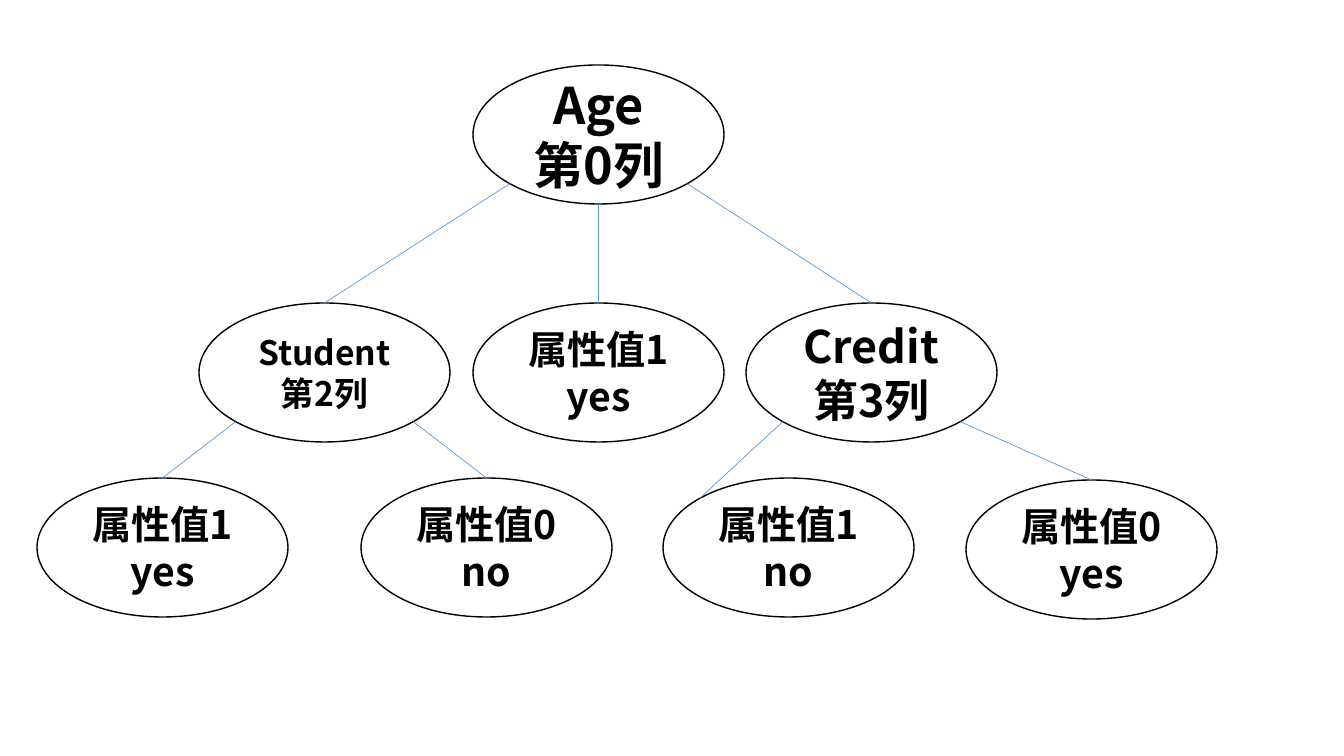
"""Draw a decision tree of ellipse nodes joined by thin lines."""
from dataclasses import dataclass
from math import sqrt

from lxml.etree import SubElement
from pptx import Presentation
from pptx.dml.color import RGBColor
from pptx.enum.shapes import MSO_CONNECTOR, MSO_SHAPE
from pptx.enum.text import MSO_ANCHOR, PP_ALIGN
from pptx.oxml.ns import qn
from pptx.util import Emu, Pt

FONT = "Noto Sans CJK SC"
NODE_W, NODE_H = 251, 139
ROOT_Y, BRANCH_Y, LEAF_Y = 65, 303, 478
DIAGONAL = 1 / sqrt(2)
TOP, BOTTOM = (0, -1), (0, 1)
TOP_LEFT = (-DIAGONAL, -DIAGONAL)
BOTTOM_LEFT, BOTTOM_RIGHT = (-DIAGONAL, DIAGONAL), (DIAGONAL, DIAGONAL)


@dataclass(frozen=True)
class Node:
    """An ellipse with its top-left corner, text lines and text size."""
    left: int
    top: int
    lines: tuple[str, str]
    size: int = 28

    def site(self, direction: tuple[float, float]) -> tuple[Emu, Emu]:
        """Return the point on the outline in a direction from the centre."""
        dx, dy = direction
        return (px(self.left + NODE_W / 2 * (1 + dx)),
                px(self.top + NODE_H / 2 * (1 + dy)))


@dataclass(frozen=True)
class Edge:
    """A line from a site of the parent to a site of the child."""
    parent: Node
    start: tuple[float, float]
    child: Node
    end: tuple[float, float] = TOP


def px(value: float) -> Emu:
    """Turn pixels into EMU."""
    return Emu(round(value * 914400 / 100.8))


def rgb(value: str) -> RGBColor:
    """Turn a hex string into a colour."""
    return RGBColor.from_string(value)


def draw_node(shapes, node: Node) -> None:
    """Draw one ellipse with its centred lines of text."""
    s = shapes.add_shape(MSO_SHAPE.OVAL, px(node.left), px(node.top), px(NODE_W), px(NODE_H))
    s.shadow.inherit = False
    s.fill.solid()
    s.fill.fore_color.rgb = rgb("FFFFFF")
    s.line.color.rgb = rgb("000000")
    s.line.width = Pt(1)
    tf = s.text_frame
    tf.word_wrap = True
    tf.vertical_anchor = MSO_ANCHOR.MIDDLE
    for i, text in enumerate(node.lines):
        p = tf.add_paragraph() if i else tf.paragraphs[0]
        p.alignment = PP_ALIGN.CENTER
        r = p.add_run()
        r.text = text
        r.font.name = FONT
        r.font.size = Pt(node.size)
        r.font.bold = True
        r.font.color.rgb = rgb("000000")
        SubElement(r.font._element, qn("a:ea"), typeface=FONT)


def draw_edge(shapes, edge: Edge) -> None:
    """Draw one thin line between two nodes."""
    line = shapes.add_connector(MSO_CONNECTOR.STRAIGHT, *edge.parent.site(edge.start),
                                *edge.child.site(edge.end))
    line.line.color.rgb = rgb("5B9BD5")
    line.line.width = Pt(0.5)
    SubElement(line._element.spPr, qn("a:effectLst"))


age = Node(473, ROOT_Y, ("Age", "第0列"), 36)
student = Node(199, BRANCH_Y, ("Student", "第2列"), 24)
age_yes = Node(473, BRANCH_Y, ("属性值1", "yes"))
credit = Node(746, BRANCH_Y, ("Credit", "第3列"), 32)
student_yes = Node(37, LEAF_Y, ("属性值1", "yes"))
student_no = Node(361, LEAF_Y, ("属性值0", "no"))
credit_no = Node(663, LEAF_Y, ("属性值1", "no"))
credit_yes = Node(966, LEAF_Y + 2, ("属性值0", "yes"))

NODES = (age, student, age_yes, credit, student_yes, student_no, credit_no, credit_yes)
EDGES = (
    Edge(age, BOTTOM, age_yes),
    Edge(age, BOTTOM_RIGHT, credit),
    Edge(age, BOTTOM_LEFT, student),
    Edge(student, BOTTOM_LEFT, student_yes),
    Edge(student, BOTTOM_RIGHT, student_no),
    Edge(credit, BOTTOM_LEFT, credit_no, TOP_LEFT),
    Edge(credit, BOTTOM_RIGHT, credit_yes),
)

prs = Presentation()
prs.slide_width, prs.slide_height = px(1344), px(756)
slide = prs.slides.add_slide(prs.slide_layouts[6])
for tree_node in NODES:
    draw_node(slide.shapes, tree_node)
for tree_edge in EDGES:
    draw_edge(slide.shapes, tree_edge)
prs.save("out.pptx")
